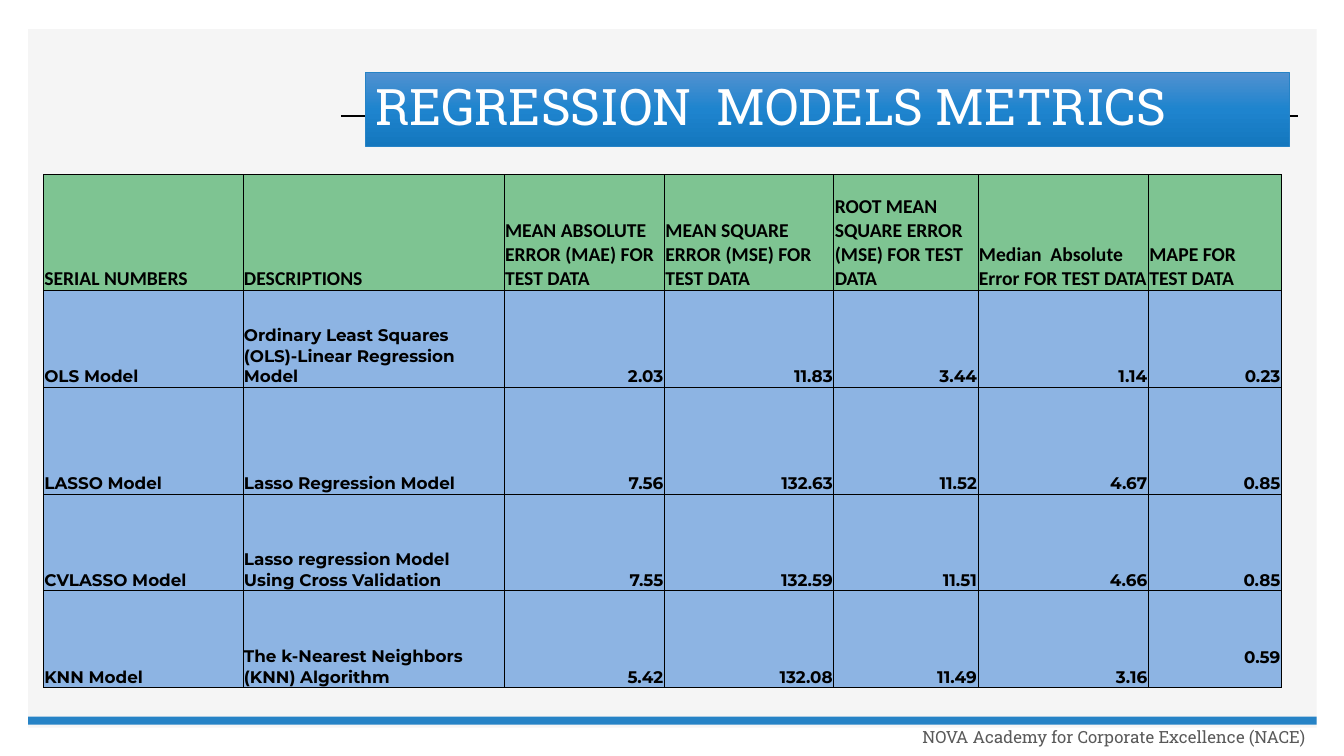
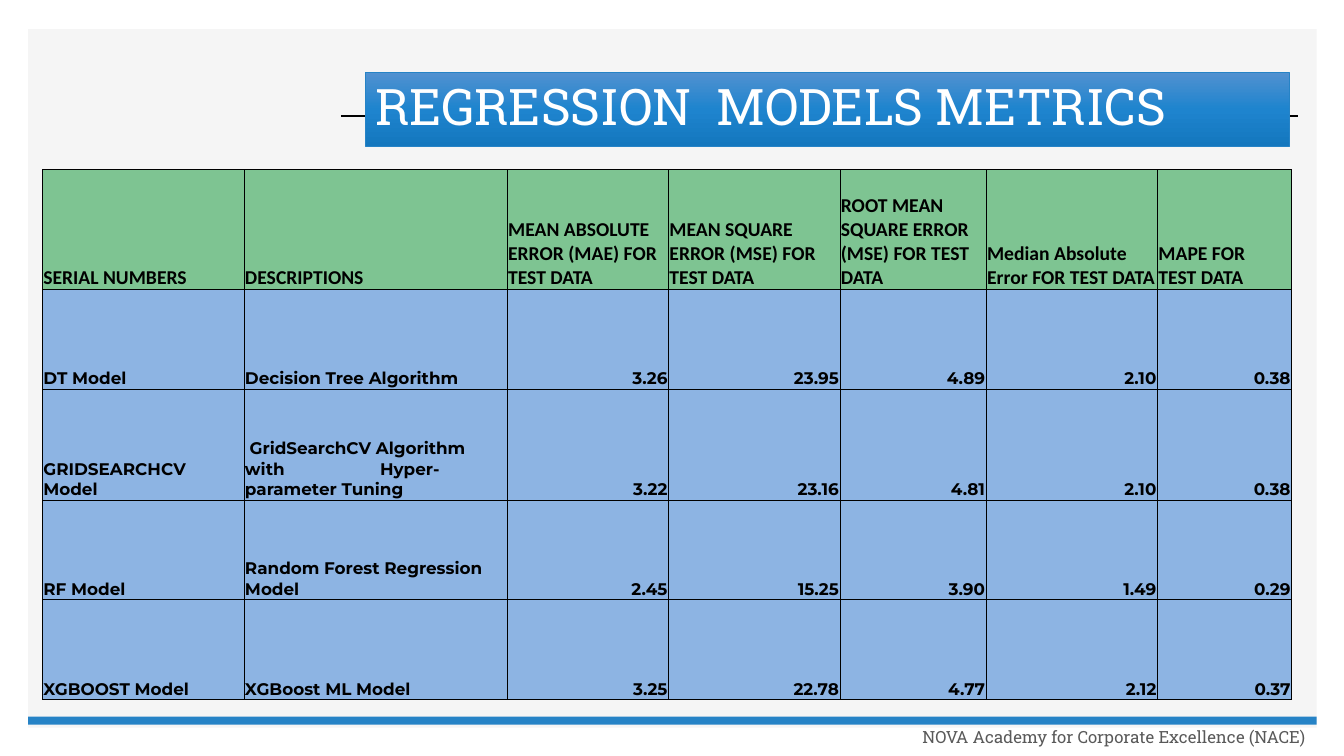
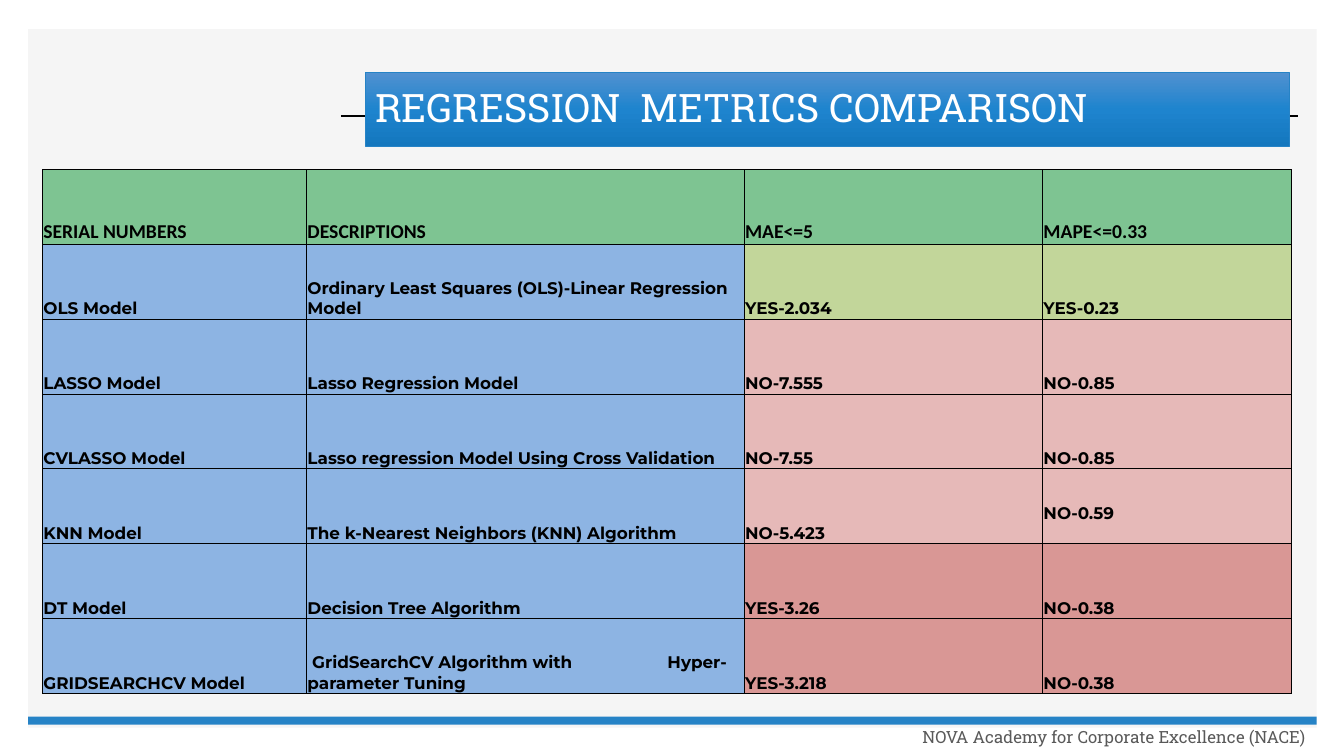
from copy import deepcopy

from pptx import Presentation
from pptx.dml.color import RGBColor
from pptx.enum.shapes import MSO_CONNECTOR, MSO_SHAPE
from pptx.enum.text import MSO_ANCHOR, MSO_AUTO_SIZE, PP_ALIGN
from pptx.oxml.ns import qn
from pptx.util import Inches, Pt
from lxml.etree import SubElement

TITLE_FONT, HEADING_FONT, BODY_FONT = "Roboto Slab", "Calibri", "Montserrat"
BLACK, WHITE, GREY, PANEL, ACCENT = "000000", "FFFFFF", "595959", "F5F5F5", "2683C6"
TITLE_GRADIENT = ((0, "5191D0"), (0.5, "1E84CE"), (1, "1477BE"))
HEADING_FILL, BODY_FILL = "7EC492", "8DB4E3"
# Fill of the verdict cells by how many of the two limits a model meets
VERDICT_FILLS = {2: "C2D69A", 1: "D99795", 0: "E6B9B8"}

DESCRIPTIONS = {
    "OLS Model": "Ordinary Least Squares (OLS)-Linear Regression Model",
    "LASSO Model": "Lasso Regression Model",
    "CVLASSO Model": "Lasso regression Model Using Cross Validation",
    "KNN Model": "The k-Nearest Neighbors (KNN) Algorithm",
    "DT Model": "Decision Tree Algorithm",
    "GRIDSEARCHCV Model": " GridSearchCV Algorithm with\tHyper-parameter Tuning",
    "RF Model": "Random Forest Regression Model",
    "XGBOOST Model": "XGBoost ML Model",
}
MODEL_HEADINGS = ["SERIAL NUMBERS", "DESCRIPTIONS"]
ERROR_HEADINGS = [
    "MEAN ABSOLUTE ERROR (MAE) FOR TEST DATA",
    "MEAN SQUARE ERROR (MSE) FOR TEST DATA",
    "ROOT MEAN SQUARE ERROR (MSE) FOR TEST DATA",
]
MAPE_HEADING = "MAPE FOR\vTEST DATA"

METRICS_SLIDES = [
    {
        "box": (0.43, 1.73, 12.28, 5.09),
        "median_heading": "Median  Absolute  Error FOR TEST DATA",
        "widths": [1.98, 2.59, 1.59, 1.68, 1.43, 1.69, 1.32],
        "heights": [1.15, 0.96, 1.06, 0.96, 0.96],
        "metrics": {
            "OLS Model": ["2.03", "11.83", "3.44", "1.14", "0.23"],
            "LASSO Model": ["7.56", "132.63", "11.52", "4.67", "0.85"],
            "CVLASSO Model": ["7.55", "132.59", "11.51", "4.66", "0.85"],
            "KNN Model": ["5.42", "132.08", "11.49", "3.16", "0.59"],
        },
    },
    {
        "box": (0.42, 1.68, 12.4, 5.25),
        "median_heading": "Median Absolute Error FOR TEST DATA",
        "widths": [2, 2.61, 1.6, 1.7, 1.45, 1.7, 1.33],
        "heights": [1.19, 0.99, 1.1, 0.99, 0.99],
        "metrics": {
            "DT Model": ["3.26", "23.95", "4.89", "2.10", "0.38"],
            "GRIDSEARCHCV Model": ["3.22", "23.16", "4.81", "2.10", "0.38"],
            "RF Model": ["2.45", "15.25", "3.90", "1.49", "0.29"],
            "XGBOOST Model": ["3.25", "22.78", "4.77", "2.12", "0.37"],
        },
    },
]
VERDICTS = {
    "OLS Model": ["YES-2.034", "YES-0.23"],
    "LASSO Model": ["NO-7.555", "NO-0.85"],
    "CVLASSO Model": ["NO-7.55", "NO-0.85"],
    "KNN Model": ["NO-5.423", "NO-0.59"],
    "DT Model": ["YES-3.26", "NO-0.38"],
    "GRIDSEARCHCV Model": ["YES-3.218", "NO-0.38"],
}


def color(value):
    return RGBColor.from_string(value)


def inches(values):
    return [Inches(value) for value in values]


def format_paragraph(paragraph, font_name, size, text_color, bold=False,
                     alignment=PP_ALIGN.LEFT):
    paragraph.alignment = alignment
    for run in paragraph.runs:
        run.font.name = font_name
        run.font.size = Pt(size)
        run.font.bold = bold
        run.font.color.rgb = color(text_color)


def add_rectangle(slide, box, fill):
    shape = slide.shapes.add_shape(MSO_SHAPE.RECTANGLE, *inches(box))
    shape.shadow.inherit = False
    shape.fill.solid()
    shape.fill.fore_color.rgb = color(fill)
    shape.line.fill.background()
    return shape


def add_title_rule(slide):
    rule = slide.shapes.add_connector(
        MSO_CONNECTOR.STRAIGHT, *inches((3.38, 1.15, 12.87, 1.15)))
    rule.line.color.rgb = color(BLACK)
    rule.line.width = Pt(1)
    SubElement(rule.element.spPr, qn("a:effectLst"))
    return rule


def add_footer(slide):
    footer = slide.shapes.add_textbox(*inches((8.7, 7.08, 4.35, 0.48)))
    frame = footer.text_frame
    frame.word_wrap = True
    frame.vertical_anchor = MSO_ANCHOR.MIDDLE
    frame.text = "NOVA Academy for Corporate Excellence (NACE)"
    frame.paragraphs[0].line_spacing = 0.9
    format_paragraph(frame.paragraphs[0], TITLE_FONT, 12, GREY,
                     alignment=PP_ALIGN.RIGHT)
    return footer


def furnish_layout(layout, slide):
    """Draw the shared parts on a slide, then move them behind the layout's placeholders."""
    parts = [
        add_rectangle(slide, (0.28, 0.29, 12.78, 6.93), PANEL),
        add_title_rule(slide),
        add_rectangle(slide, (0.28, 7.11, 12.78, 0.08), ACCENT),
        add_footer(slide),
    ]
    for position, part in enumerate(parts, start=2):
        layout.shapes.element.insert(position, part.element)


def set_title(slide, text, size):
    title = slide.shapes.title
    title.left, title.top, title.width, title.height = inches((3.62, 0.72, 9.17, 0.73))
    title.fill.gradient()
    title.fill.gradient_angle = 270
    stops = title.element.spPr.find(".//" + qn("a:gsLst"))
    stops.insert(1, deepcopy(stops[0]))
    for stop, (position, value) in zip(title.fill.gradient_stops, TITLE_GRADIENT):
        stop.position = position
        stop.color.rgb = color(value)
    title.line.color.rgb = color(ACCENT)
    title.line.width = Pt(0.5)
    frame = title.text_frame
    frame.text = text
    frame.word_wrap = True
    frame.auto_size = MSO_AUTO_SIZE.NONE
    frame.vertical_anchor = MSO_ANCHOR.MIDDLE
    frame.paragraphs[0].line_spacing = 0.9
    format_paragraph(frame.paragraphs[0], TITLE_FONT, size, WHITE)


def add_borders(cell):
    properties = cell._tc.get_or_add_tcPr()
    for position, side in enumerate(("lnL", "lnR", "lnT", "lnB")):
        border = SubElement(properties, qn("a:" + side), w=str(Pt(0.5)))
        fill = SubElement(border, qn("a:solidFill"))
        SubElement(fill, qn("a:srgbClr"), val=BLACK)
        properties.insert(position, border)


def set_tab_stop(paragraph, position):
    tabs = SubElement(paragraph._p.get_or_add_pPr(), qn("a:tabLst"))
    SubElement(tabs, qn("a:tab"), pos=str(Inches(position)), algn="l")


def fill_cell(cell, text, fill, heading, alignment):
    cell.text = text
    cell.fill.solid()
    cell.fill.fore_color.rgb = color(fill)
    cell.vertical_anchor = MSO_ANCHOR.BOTTOM
    cell.margin_left = cell.margin_right = cell.margin_top = Inches(0.01)
    cell.margin_bottom = 0
    font_name, size = (HEADING_FONT, 14) if heading else (BODY_FONT, 12)
    format_paragraph(cell.text_frame.paragraphs[0], font_name, size, BLACK,
                     bold=True, alignment=alignment)
    add_borders(cell)


def add_model_table(slide, box, headings, values, widths, heights, tab_stop,
                    value_alignment, value_fill):
    """Add a table of models; value_fill gives the fill of a row's value cells."""
    rows = [MODEL_HEADINGS + headings]
    rows += [[model, DESCRIPTIONS[model], *cells] for model, cells in values.items()]
    table = slide.shapes.add_table(len(rows), len(rows[0]), *inches(box)).table
    table.first_row = table.horz_banding = False
    for column, width in zip(table.columns, widths):
        column.width = Inches(width)
    for row, height in zip(table.rows, heights):
        row.height = Inches(height)
    for row_index, texts in enumerate(rows):
        heading = row_index == 0
        for column_index, text in enumerate(texts):
            is_value = not heading and column_index >= len(MODEL_HEADINGS)
            fill = HEADING_FILL if heading else BODY_FILL
            if is_value:
                fill = value_fill(texts[2:])
            cell = table.cell(row_index, column_index)
            fill_cell(cell, text, fill, heading,
                      value_alignment if is_value else PP_ALIGN.LEFT)
            if "\t" in text:
                set_tab_stop(cell.text_frame.paragraphs[0], tab_stop)
        if texts[0] == "KNN Model":
            # The last value of this row stands one line higher
            cell.margin_bottom = Inches(0.2)


def fill_metrics_slide(slide, box, median_heading, widths, heights, metrics):
    set_title(slide, "REGRESSION  MODELS METRICS", 36)
    headings = ERROR_HEADINGS + [median_heading, MAPE_HEADING]
    add_model_table(slide, box, headings, metrics, widths, heights, 1.34,
                    PP_ALIGN.RIGHT, lambda values: BODY_FILL)


def verdict_fill(verdicts):
    return VERDICT_FILLS[sum(verdict.startswith("YES") for verdict in verdicts)]


def fill_comparison_slide(slide, box):
    set_title(slide, "REGRESSION  METRICS COMPARISON", 28)
    row_count = len(VERDICTS) + 1
    add_model_table(slide, box, ["MAE<=5", "MAPE<=0.33"], VERDICTS,
                    [2.62, 4.34, 2.96, 2.47], [box[3] / row_count] * row_count,
                    3.57, PP_ALIGN.LEFT, verdict_fill)


def main():
    presentation = Presentation()
    presentation.slide_width, presentation.slide_height = inches((13.33, 7.5))
    layout = presentation.slide_layouts.get_by_name("Title Only")
    slides = [presentation.slides.add_slide(layout) for _ in range(3)]
    furnish_layout(layout, slides[0])
    for slide, content in zip(slides, METRICS_SLIDES):
        fill_metrics_slide(slide, **content)
    fill_comparison_slide(slides[2], (0.42, 1.68, 12.4, 5.2))
    presentation.save("out.pptx")


if __name__ == "__main__":
    main()
